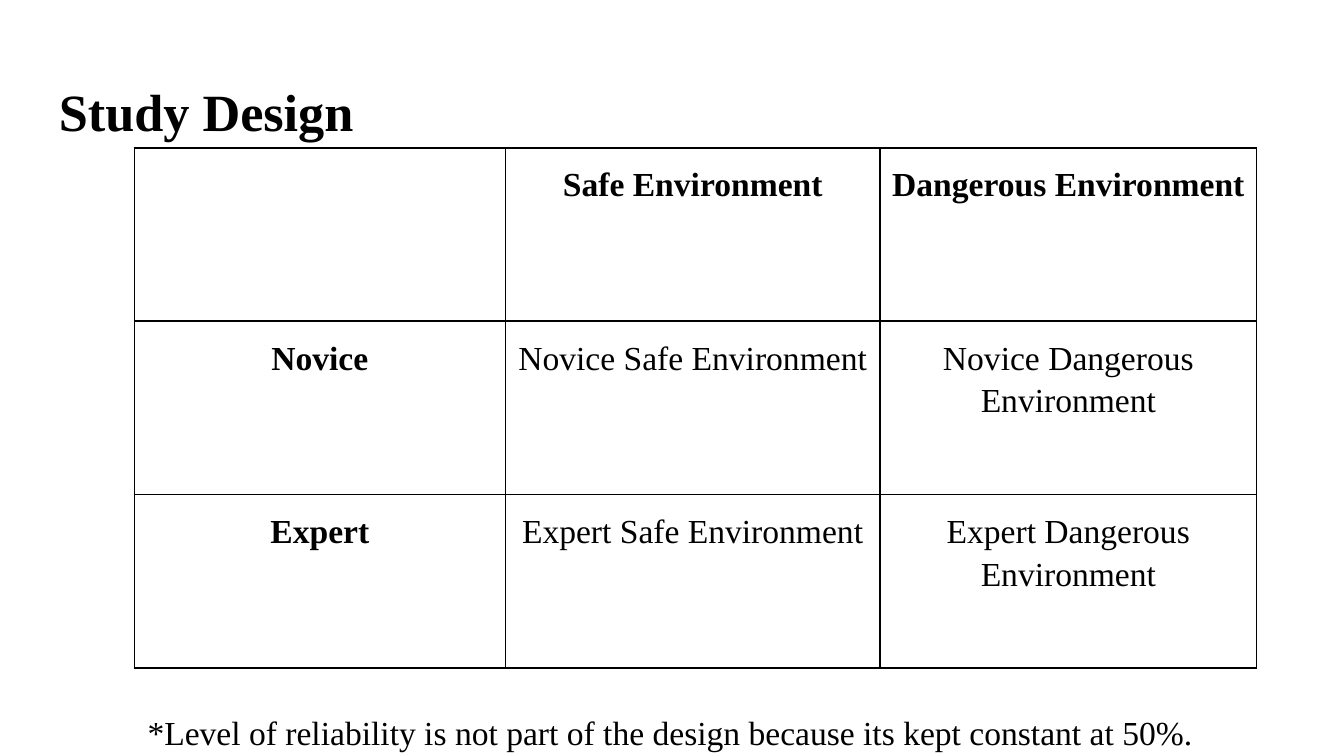
"""Build the study design slide: a two-by-two condition table with a footnote."""
from lxml import etree
from pptx import Presentation
from pptx.dml.color import RGBColor
from pptx.enum.text import MSO_ANCHOR, PP_ALIGN
from pptx.oxml.ns import qn
from pptx.util import Inches, Pt

LEFT, CENTER = PP_ALIGN.LEFT, PP_ALIGN.CENTER
TOP, MIDDLE = MSO_ANCHOR.TOP, MSO_ANCHOR.MIDDLE
BLACK = "000000"


def write(frame, text, size, bold, align, spacing):
    frame.word_wrap = True
    paragraph = frame.paragraphs[0]
    paragraph.alignment = align
    paragraph.line_spacing = spacing
    run = paragraph.add_run()
    run.text = text
    formats = {"name": "Times New Roman", "size": Pt(size), "bold": bold}
    for attribute, value in formats.items():
        setattr(run.font, attribute, value)
    run.font.color.rgb = RGBColor.from_string(BLACK)


def add_borders(cell, color, width):
    properties = cell._tc.get_or_add_tcPr()
    for side in ("a:lnL", "a:lnR", "a:lnT", "a:lnB"):
        line = etree.SubElement(properties, qn(side), w=str(Pt(width)))
        fill = etree.SubElement(line, qn("a:solidFill"))
        etree.SubElement(fill, qn("a:srgbClr"), val=color)


deck = Presentation()
deck.slide_width, deck.slide_height = Inches(10), Inches(10 * 9 / 16)
slide = deck.slides.add_slide(deck.slide_layouts[6])

texts = [
    ("Study Design", (0.34, 0.49, 9.32, 0.63), 28, True, TOP, 1.0),
    ("*Level of reliability is not part of the design because its kept constant at 50%.",
     (1, 5.26, 8.13, 0.33), 18, False, MIDDLE, 1.15),
]
for text, place, size, bold, anchor, spacing in texts:
    frame = slide.shapes.add_textbox(*map(Inches, place)).text_frame
    formats = {"vertical_anchor": anchor}
    for side in ("left", "top", "right", "bottom"):
        formats[f"margin_{side}"] = Inches(0.1)
    for attribute, value in formats.items():
        setattr(frame, attribute, value)
    write(frame, text, size, bold, LEFT, spacing)

levels = ["Novice", "Expert"]
environments = ["Safe Environment", "Dangerous Environment"]
conditions = [["", *environments]]
for level in levels:
    conditions.append([level] + [f"{level} {environment}" for environment in environments])

column_widths = [2.76, 2.79, 2.8]
row_height = 1.29
design = slide.shapes.add_table(
    len(conditions), len(column_widths), Inches(1), Inches(1.1),
    Inches(sum(column_widths)), Inches(row_height * len(conditions))).table
for column, width in zip(design.columns, column_widths):
    column.width = Inches(width)

cell_formats = {
    "margin_left": Inches(0.07), "margin_right": Inches(0.07),
    "margin_top": Inches(0.1), "margin_bottom": Inches(0.1),
    "vertical_anchor": TOP,
}
for row_index, row in enumerate(conditions):
    design.rows[row_index].height = Inches(row_height)
    for column_index, condition in enumerate(row):
        cell = design.cell(row_index, column_index)
        for attribute, value in cell_formats.items():
            setattr(cell, attribute, value)
        add_borders(cell, BLACK, 1)
        cell.fill.background()
        if condition:
            is_heading = row_index == 0 or column_index == 0
            write(cell.text_frame, condition, 18, is_heading, CENTER, 1.15)

deck.save("out.pptx")
